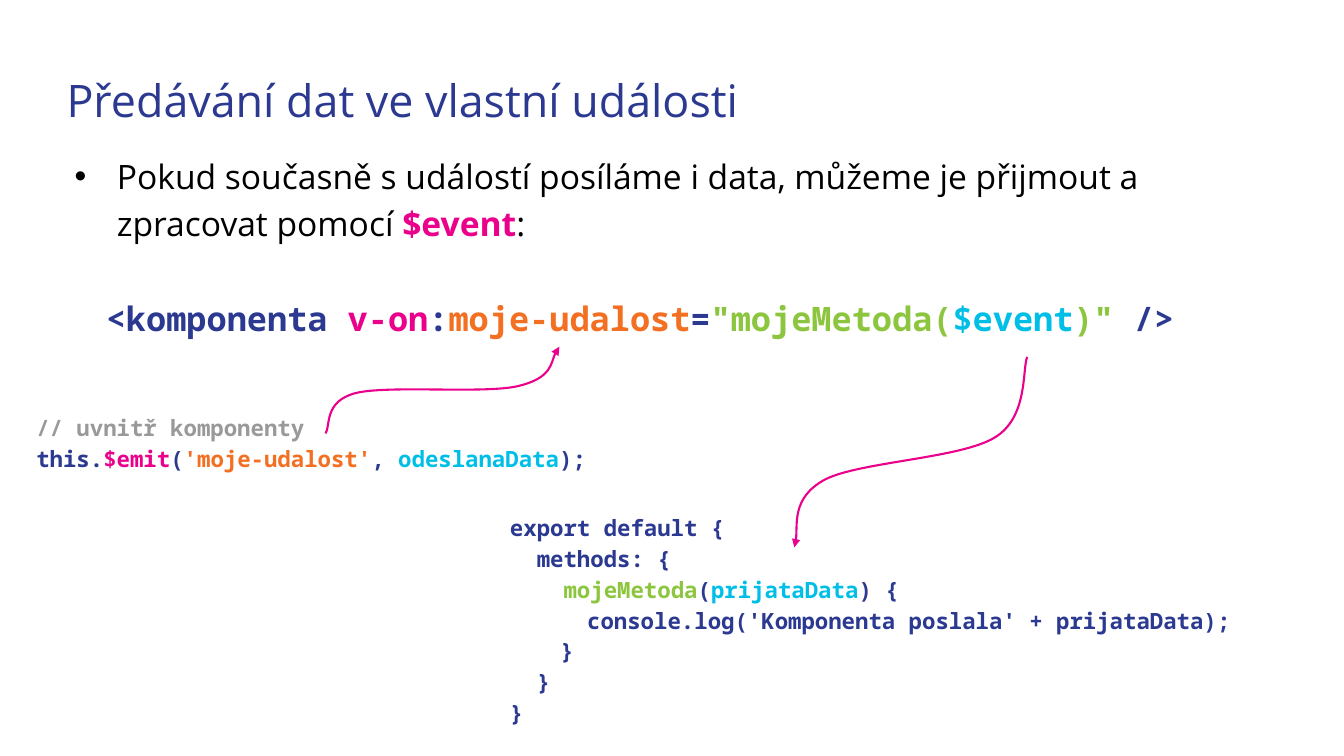
import pptx
import pptx.util
import pptx.dml.color
import pptx.enum.text
import pptx.oxml
import pptx.oxml.ns
from lxml import etree

Pt = pptx.util.Pt
COLORS = {
    "navy": "2B3990",
    "black": "000000",
    "pink": "EB008B",
    "orange": "F36F21",
    "green": "8CC63E",
    "cyan": "00BFE7",
    "gray": "999999",
}


def rgb(color):
    return pptx.dml.color.RGBColor.from_string(COLORS[color])


def add_element(parent, tag, **attributes):
    return etree.SubElement(parent, pptx.oxml.ns.qn(tag), attributes)


class EventSlide:
    prose_font = "Open Sans"
    code_font = "Noto Sans Mono"
    line_spacing = 1.15

    def __init__(self, presentation):
        self.slide = presentation.slides.add_slide(presentation.slide_layouts[5])

    def prepare(self, box, right=0, bottom=0):
        frame = box.text_frame
        frame.word_wrap = True
        frame.auto_size = pptx.enum.text.MSO_AUTO_SIZE.NONE
        frame.vertical_anchor = pptx.enum.text.MSO_ANCHOR.TOP
        frame.margin_left = frame.margin_top = 0
        frame.margin_right, frame.margin_bottom = Pt(right), Pt(bottom)
        paragraph = frame.paragraphs[0]
        paragraph.alignment = pptx.enum.text.PP_ALIGN.LEFT
        paragraph.line_spacing = self.line_spacing
        return paragraph

    def text_box(self, left, top, width, height):
        box = self.slide.shapes.add_textbox(Pt(left), Pt(top), Pt(width), Pt(height))
        return self.prepare(box)

    def add_run(self, paragraph, text, font, size, color, bold):
        run = paragraph.add_run()
        run.text = text
        run.font.name = font
        run.font.size = Pt(size)
        run.font.bold = bold
        run.font.color.rgb = rgb(color)

    def title(self, text, left, top, width, height):
        heading = self.slide.shapes.title
        heading.left, heading.top = Pt(left), Pt(top)
        heading.width, heading.height = Pt(width), Pt(height)
        paragraph = self.prepare(heading, 9.36, 9.36)
        self.add_run(paragraph, text, self.prose_font, 32, "navy", False)

    def bullet(self, pieces, *place):
        paragraph = self.text_box(*place)
        properties = paragraph._p.get_or_add_pPr()
        properties.set("marL", str(Pt(36)))
        properties.set("indent", str(Pt(-30.24)))
        bullet_color = add_element(properties, "a:buClr")
        add_element(bullet_color, "a:srgbClr", val=COLORS["black"])
        add_element(properties, "a:buFont", typeface="Arial")
        add_element(properties, "a:buChar", char="•")
        for text, color, bold in pieces:
            self.add_run(paragraph, text, self.prose_font, 24, color, bold)

    def code(self, pieces, size, *place):
        paragraph = self.text_box(*place)
        paragraph.space_after = Pt(16)
        for text, color in pieces:
            for number, line in enumerate(text.split("\n")):
                if number:
                    paragraph.add_line_break()
                if line:
                    self.add_run(paragraph, line, self.code_font, size, color, True)
        for line_break in paragraph._p.findall(pptx.oxml.ns.qn("a:br")):
            add_element(line_break, "a:rPr", sz=str(size * 100))

    def curved_arrow(self, points):
        start, *rest = [(Pt(x), Pt(y)) for x, y in points]
        builder = self.slide.shapes.build_freeform(*start)
        builder.add_line_segments(rest, close=False)
        arrow = builder.convert_to_shape()
        segments = list(arrow._element.iter(pptx.oxml.ns.qn("a:lnTo")))
        outline = segments[0].getparent()
        for first in range(0, len(segments), 3):
            curve = add_element(outline, "a:cubicBezTo")
            for segment in segments[first:first + 3]:
                curve.append(segment[0])
                outline.remove(segment)
        arrow.shadow.inherit = False
        arrow.fill.background()
        arrow.line.color.rgb = rgb("pink")
        arrow.line.width = Pt(1.5)
        add_element(arrow.line._get_or_add_ln(), "a:tailEnd", type="triangle")


def main():
    presentation = pptx.Presentation()
    presentation.slide_width, presentation.slide_height = Pt(960), Pt(540)
    events = EventSlide(presentation)

    events.title("Předávání dat ve vlastní události", 47.52, 46.08, 864.72, 47.52)
    events.bullet([
        ("Pokud současně s událostí posíláme i data, můžeme je přijmout a zpracovat pomocí ", "black", False),
        ("$event", "pink", True),
        (":", "black", False),
    ], 47.52, 107.28, 864.72, 365)
    events.code([
        ("<komponenta ", "navy"),
        ("v-on", "pink"),
        (":", "navy"),
        ("moje-udalost", "orange"),
        ("=", "navy"),
        ('"mojeMetoda(', "green"),
        ("$event", "cyan"),
        (')" ', "green"),
        ("/>", "navy"),
    ], 24, 75.6, 208.8, 856, 64.8)
    events.code([
        ("export default {\n  methods: {\n    ", "navy"),
        ("mojeMetoda", "green"),
        ("(", "navy"),
        ("prijataData", "cyan"),
        (") {\n\t  console.log('Komponenta poslala' + prijataData);\n\t}\n  }\n}", "navy"),
    ], 16, 364.32, 364.32, 585.36, 154)
    events.curved_arrow([
        (733.7, 254.9), (730.1, 264.2), (734.4, 298.1), (710.6, 312.5),
        (686.2, 327.6), (613.4, 329.8), (589, 342.7),
        (565.2, 355.7), (571, 383), (567.4, 391),
    ])
    events.code([
        ("// uvnitř komponenty\n", "gray"),
        ("this.", "navy"),
        ("$emit", "pink"),
        ("(", "navy"),
        ("'moje-udalost'", "orange"),
        (", ", "navy"),
        ("odeslanaData", "cyan"),
        (");", "navy"),
    ], 16, 25.92, 293.04, 395.28, 36)
    events.curved_arrow([
        (232.6, 309.6), (236.2, 304.6), (231.1, 286.6), (254.2, 280.8),
        (277.2, 275), (346.3, 281.5), (370.1, 275.8),
        (394.6, 270), (394.6, 252), (399.6, 247.7),
    ])
    presentation.save("out.pptx")


if __name__ == "__main__":
    main()
